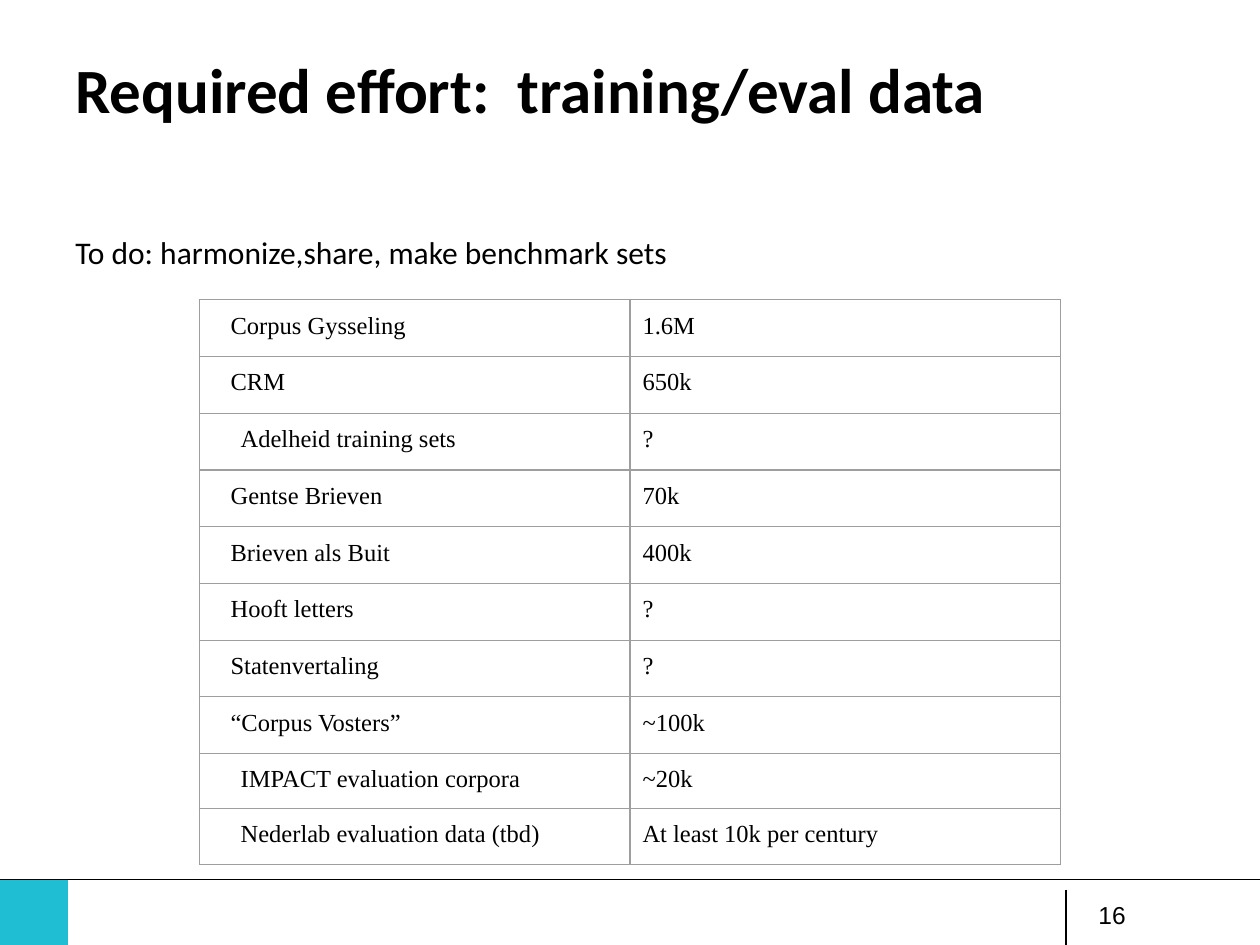
from lxml import etree
from pptx import Presentation
from pptx.dml.color import RGBColor
from pptx.enum.shapes import MSO_CONNECTOR, MSO_SHAPE
from pptx.enum.text import MSO_ANCHOR
from pptx.oxml import parse_xml
from pptx.oxml.ns import nsdecls, qn
from pptx.util import Inches, Pt

STRAIGHT = MSO_CONNECTOR.STRAIGHT
RECTANGLE = MSO_SHAPE.RECTANGLE
TOP, MIDDLE = MSO_ANCHOR.TOP, MSO_ANCHOR.MIDDLE
BLACK = RGBColor(0x00, 0x00, 0x00)
TEAL = RGBColor(0x1F, 0xBE, 0xD3)
GRAY = RGBColor(0x9E, 0x9E, 0x9E)

WIDTH, HEIGHT = 10, 7.5
MARGIN = 0.05 * WIDTH
FOOTER_TOP = 6.98
FOOTER_HEIGHT = HEIGHT - FOOTER_TOP
DIVIDER_TOP = 7.06
COLUMN_WIDTH = 3.42
TABLE_LEFT = (WIDTH - 2 * COLUMN_WIDTH) / 2
TABLE_TOP = 2.38
ROW_HEIGHT, SHORT_ROW_HEIGHT = 0.45, 0.35
INDENT, HANGING, SHORT_HANGING = 0.38, -0.23, -0.15

CORPORA = [
    ("Corpus Gysseling", "1.6M", HANGING, ROW_HEIGHT),
    ("CRM", "650k", HANGING, ROW_HEIGHT),
    ("Adelheid training sets", "?", SHORT_HANGING, ROW_HEIGHT),
    ("Gentse Brieven", "70k", HANGING, ROW_HEIGHT),
    ("Brieven als Buit", "400k", HANGING, ROW_HEIGHT),
    ("Hooft letters", "?", HANGING, ROW_HEIGHT),
    ("Statenvertaling", "?", HANGING, ROW_HEIGHT),
    ("“Corpus Vosters”", "~100k", HANGING, ROW_HEIGHT),
    ("IMPACT evaluation corpora", "~20k", SHORT_HANGING, SHORT_ROW_HEIGHT),
    ("Nederlab evaluation data (tbd)", "At least 10k per century", SHORT_HANGING, ROW_HEIGHT),
]


def write(para, text, font_name, size, bold=False):
    para.text = text
    para.font.name = font_name
    para.font.size = Pt(size)
    para.font.bold = bold
    para.font.color.rgb = BLACK


deck = Presentation()
deck.slide_width, deck.slide_height = Inches(WIDTH), Inches(HEIGHT)
page = deck.slides.add_slide(deck.slide_layouts[6])

accent = page.shapes.add_shape(
    RECTANGLE, 0, Inches(FOOTER_TOP), Inches(0.54), Inches(FOOTER_HEIGHT))
accent.shadow.inherit = False
accent.fill.solid()
accent.fill.fore_color.rgb = TEAL
accent.line.fill.background()

for ends in [(0, FOOTER_TOP, WIDTH, FOOTER_TOP), (8.46, DIVIDER_TOP, 8.46, HEIGHT)]:
    rule = page.shapes.add_connector(STRAIGHT, *map(Inches, ends))
    rule.line.color.rgb = BLACK
    rule.line.width = Pt(0.75)
    etree.SubElement(rule.element.spPr, qn("a:effectLst"))

for text, place, font_name, size, bold, anchor, inset in [
    ("Required effort:  training/eval data",
     (MARGIN, 0.3, WIDTH - 2 * MARGIN, 1.25), "Calibri", 36, True, TOP, 0.1),
    ("To do: harmonize,share, make benchmark sets",
     (MARGIN, 1.75, WIDTH - 2 * MARGIN, 4.95), "Calibri", 18, False, TOP, 0.1),
    ("16", (8.62, DIVIDER_TOP, 1.26, 0.4), "Arial", 14, False, MIDDLE, 0.05),
]:
    frame = page.shapes.add_textbox(*map(Inches, place)).text_frame
    frame.word_wrap = True
    frame.vertical_anchor = anchor
    frame.margin_left = frame.margin_right = Inches(0.1)
    frame.margin_top = frame.margin_bottom = Inches(inset)
    write(frame.paragraphs[0], text, font_name, size, bold)

table = page.shapes.add_table(
    len(CORPORA), 2, Inches(TABLE_LEFT), Inches(TABLE_TOP), Inches(2 * COLUMN_WIDTH),
    Inches(sum(height for *_, height in CORPORA))).table
table.first_row = table.horz_banding = False
for column in table.columns:
    column.width = Inches(COLUMN_WIDTH)

for row, (corpus, tokens, hanging, height) in zip(table.rows, CORPORA):
    row.height = Inches(height)
    for cell, text in zip(row.cells, (corpus, tokens)):
        cell.margin_left = cell.margin_right = Inches(0.1)
        cell.margin_top = cell.margin_bottom = Inches(0.1)
        write(cell.text_frame.paragraphs[0], text, "Times New Roman", 14)
        properties = cell._tc.get_or_add_tcPr()
        for side in ("lnL", "lnR", "lnT", "lnB"):
            properties.append(parse_xml(
                f'<a:{side} {nsdecls("a")} w="{Pt(0.75)}"><a:solidFill>'
                f'<a:srgbClr val="{GRAY}"/></a:solidFill></a:{side}>'))
        cell.fill.background()
    label = row.cells[0].text_frame.paragraphs[0]._p.get_or_add_pPr()
    label.set("marL", str(Inches(INDENT)))
    label.set("indent", str(Inches(hanging)))

deck.save("out.pptx")
